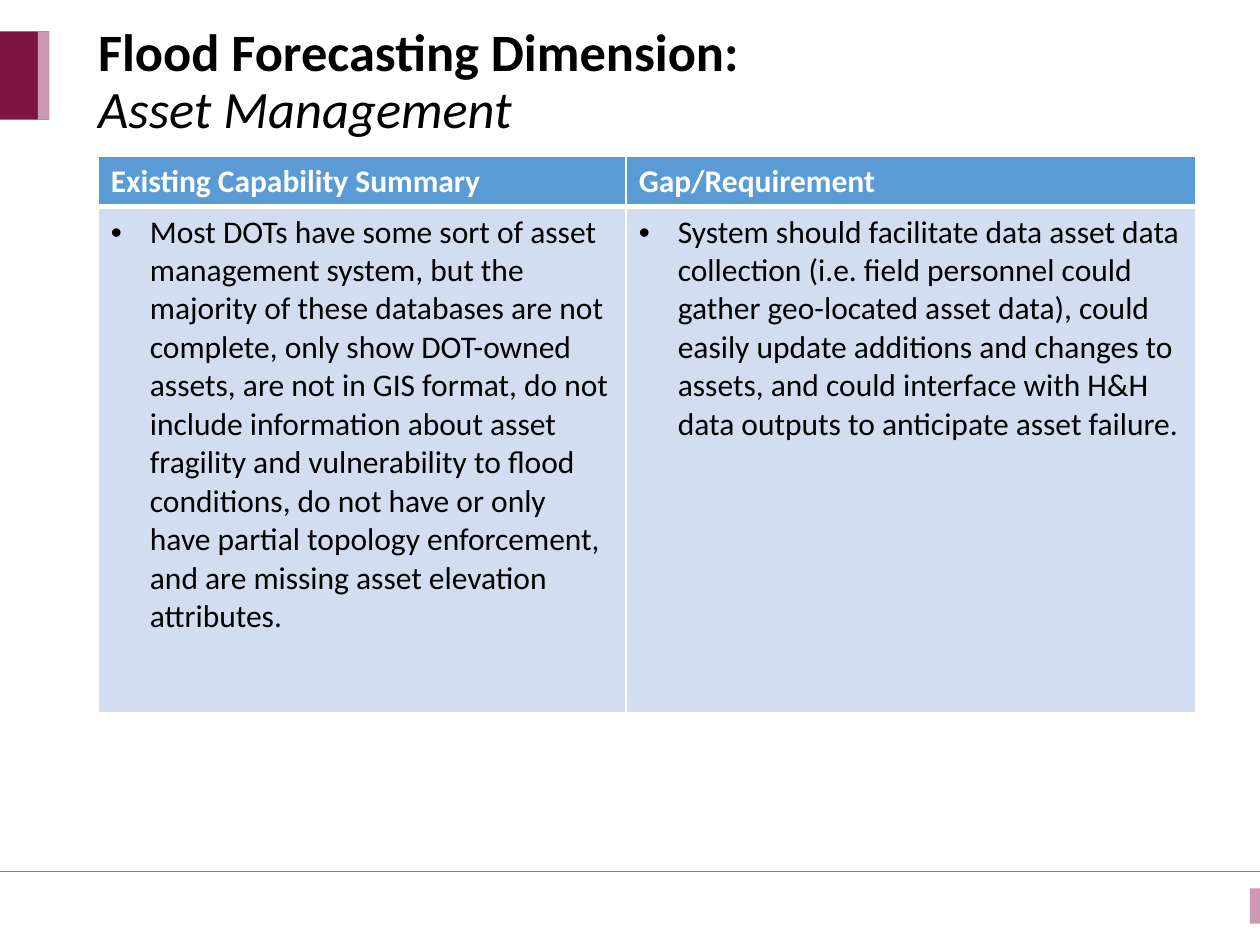
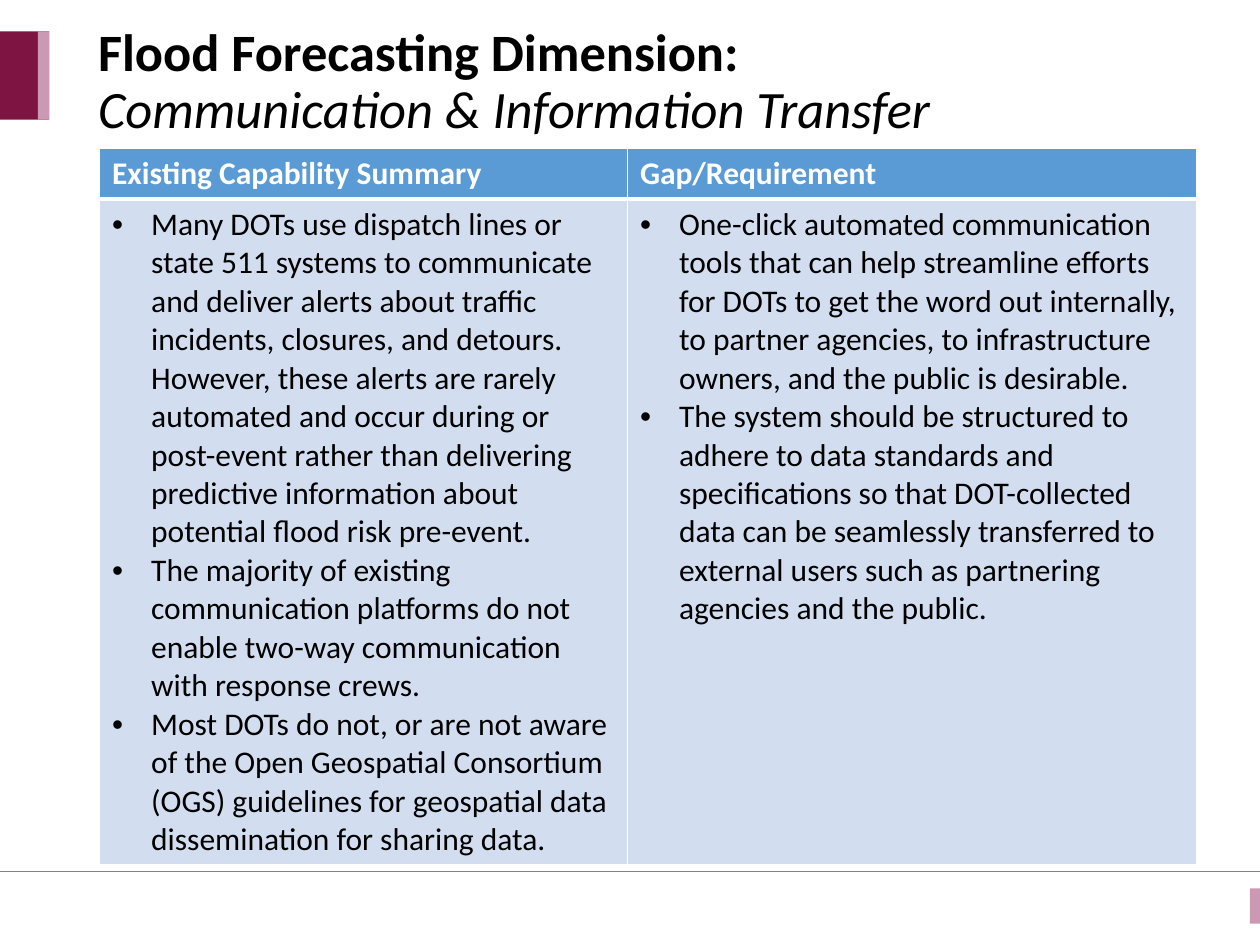
from dataclasses import dataclass

import lxml.etree
import pptx
import pptx.dml.color
import pptx.enum.shapes
import pptx.enum.text
import pptx.oxml.ns
import pptx.util

Inches = pptx.util.Inches
Pt = pptx.util.Pt
RGBColor = pptx.dml.color.RGBColor
qn = pptx.oxml.ns.qn

FONT = "Calibri"
BLACK = RGBColor(0x00, 0x00, 0x00)
WHITE = RGBColor(0xFF, 0xFF, 0xFF)
GRAY = RGBColor(0x80, 0x80, 0x80)
MAROON = RGBColor(0x7D, 0x14, 0x42)
PINK = RGBColor(0xCB, 0x99, 0xB3)
HEADER_BLUE = RGBColor(0x5B, 0x9B, 0xD5)
BODY_BLUE = RGBColor(0xD2, 0xDE, 0xEF)

TITLE = "Flood Forecasting Dimension:"
HEADERS = ("Existing Capability Summary", "Gap/Requirement")
COL_WIDTHS = (4.19, 4.52)
HEADER_HEIGHT = 0.4
INDENT = Inches(0.31)


@dataclass(frozen=True)
class Bar:
    left: float
    top: float
    width: float
    height: float
    color: RGBColor


@dataclass(frozen=True)
class Dimension:
    name: str
    left: float
    top: float
    body_height: float
    capabilities: tuple[str, ...]
    gaps: tuple[str, ...]


BARS = (
    Bar(9.92, 7.05, 0.1, 0.28, PINK),
    Bar(-0.25, 0.25, 0.64, 0.7, MAROON),
    Bar(0.3, 0.25, 0.09, 0.7, PINK),
)

DIMENSIONS = (
    Dimension(
        "Asset Management", 0.78, 1.24, 4.02,
        ("Most DOTs have some sort of asset management system, but the majority of these "
         "databases are not complete, only show DOT-owned assets, are not in GIS format, do not "
         "include information about asset fragility and vulnerability to flood conditions, do not "
         "have or only have partial topology enforcement, and are missing asset elevation "
         "attributes.",),
        ("System should facilitate data asset data collection (i.e. field personnel could gather "
         "geo-located asset data), could easily update additions and changes to assets, and could "
         "interface with H&H data outputs to anticipate asset failure.",),
    ),
    Dimension(
        "Communication & Information Transfer", 0.79, 1.18, 5.28,
        ("Many DOTs use dispatch lines or state 511 systems to communicate and deliver alerts "
         "about traffic incidents, closures, and detours. However, these alerts are rarely "
         "automated and occur during or post-event rather than delivering predictive information "
         "about potential flood risk pre-event.",
         "The majority of existing communication platforms do not enable two-way communication "
         "with response crews.",
         "Most DOTs do not, or are not aware of the Open Geospatial Consortium (OGS) guidelines "
         "for geospatial data dissemination for sharing data."),
        ("One-click automated communication tools that can help streamline efforts for DOTs to "
         "get the word out internally, to partner agencies, to infrastructure owners, and the "
         "public is desirable.",
         "The system should be structured to adhere to data standards and specifications so that "
         "DOT-collected data can be seamlessly transferred to external users such as partnering "
         "agencies and the public."),
    ),
)


def add_run(p, text: str, *, size: float = 18, color: RGBColor = BLACK,
            bold: bool = False, italic: bool = False) -> None:
    """Append a formatted run to a paragraph."""
    r = p.add_run()
    r.text = text
    r.font.name = FONT
    r.font.size = Pt(size)
    r.font.color.rgb = color
    r.font.bold = bold
    r.font.italic = italic


def add_bullet(p) -> None:
    """Give a paragraph a hanging bullet."""
    pPr = p._p.get_or_add_pPr()
    pPr.set("marL", str(INDENT))
    pPr.set("indent", str(-INDENT))
    lxml.etree.SubElement(pPr, qn("a:buFont"), typeface="Arial")
    lxml.etree.SubElement(pPr, qn("a:buChar"), char="•")


def style_cell(cell, fill: RGBColor, *, top: float = 1, bottom: float = 1) -> None:
    """Set the white borders and the fill of a cell."""
    tcPr = cell._tc.get_or_add_tcPr()
    for side, width in (("L", 1), ("R", 1), ("T", top), ("B", bottom)):
        ln = lxml.etree.SubElement(tcPr, qn(f"a:ln{side}"), w=str(Pt(width)))
        solid = lxml.etree.SubElement(ln, qn("a:solidFill"))
        lxml.etree.SubElement(solid, qn("a:srgbClr"), val=str(WHITE))
    cell.fill.solid()
    cell.fill.fore_color.rgb = fill


def add_frame(s) -> None:
    """Draw the footer line and the colour bars."""
    line = s.shapes.add_connector(pptx.enum.shapes.MSO_CONNECTOR.STRAIGHT,
                                  Inches(-0.33), Inches(6.92), Inches(10.33), Inches(6.92))
    line.line.color.rgb = GRAY
    line.line.width = Pt(0.5)
    lxml.etree.SubElement(line._element.spPr, qn("a:effectLst"))
    for bar in BARS:
        sp = s.shapes.add_shape(pptx.enum.shapes.MSO_SHAPE.RECTANGLE, Inches(bar.left),
                                Inches(bar.top), Inches(bar.width), Inches(bar.height))
        sp.shadow.inherit = False
        sp.fill.solid()
        sp.fill.fore_color.rgb = bar.color
        sp.line.fill.background()


def add_title(s, name: str) -> None:
    """Write the shared title with the dimension name below it."""
    tf = s.shapes.add_textbox(Inches(0.68), Inches(0.31), Inches(8.92), Inches(0.7)).text_frame
    tf.word_wrap = True
    tf.vertical_anchor = pptx.enum.text.MSO_ANCHOR.MIDDLE
    p = tf.paragraphs[0]
    p.line_spacing = 0.9
    add_run(p, TITLE, size=30, bold=True)
    p.add_line_break()
    add_run(p, name, size=30, italic=True)


def add_dimension_table(s, dim: Dimension) -> None:
    """Set capabilities beside gaps in a two-column table."""
    table = s.shapes.add_table(2, len(HEADERS), Inches(dim.left), Inches(dim.top),
                               Inches(sum(COL_WIDTHS)),
                               Inches(HEADER_HEIGHT + dim.body_height)).table
    table.horz_banding = False
    table.rows[0].height = Inches(HEADER_HEIGHT)
    table.rows[1].height = Inches(dim.body_height)
    columns = zip(HEADERS, COL_WIDTHS, (dim.capabilities, dim.gaps))
    for col, (header, width, points) in enumerate(columns):
        table.columns[col].width = Inches(width)
        head, body = table.cell(0, col), table.cell(1, col)
        style_cell(head, HEADER_BLUE, bottom=3)
        style_cell(body, BODY_BLUE, top=3)
        add_run(head.text_frame.paragraphs[0], header, color=WHITE, bold=True)
        tf = body.text_frame
        for i, point in enumerate(points):
            p = tf.add_paragraph() if i else tf.paragraphs[0]
            add_bullet(p)
            add_run(p, point)


def main() -> None:
    """Build the deck."""
    prs = pptx.Presentation()
    prs.slide_width, prs.slide_height = Inches(10), Inches(7.5)
    for dim in DIMENSIONS:
        s = prs.slides.add_slide(prs.slide_layouts[6])
        add_frame(s)
        add_title(s, dim.name)
        add_dimension_table(s, dim)
    prs.save("out.pptx")


if __name__ == "__main__":
    main()
